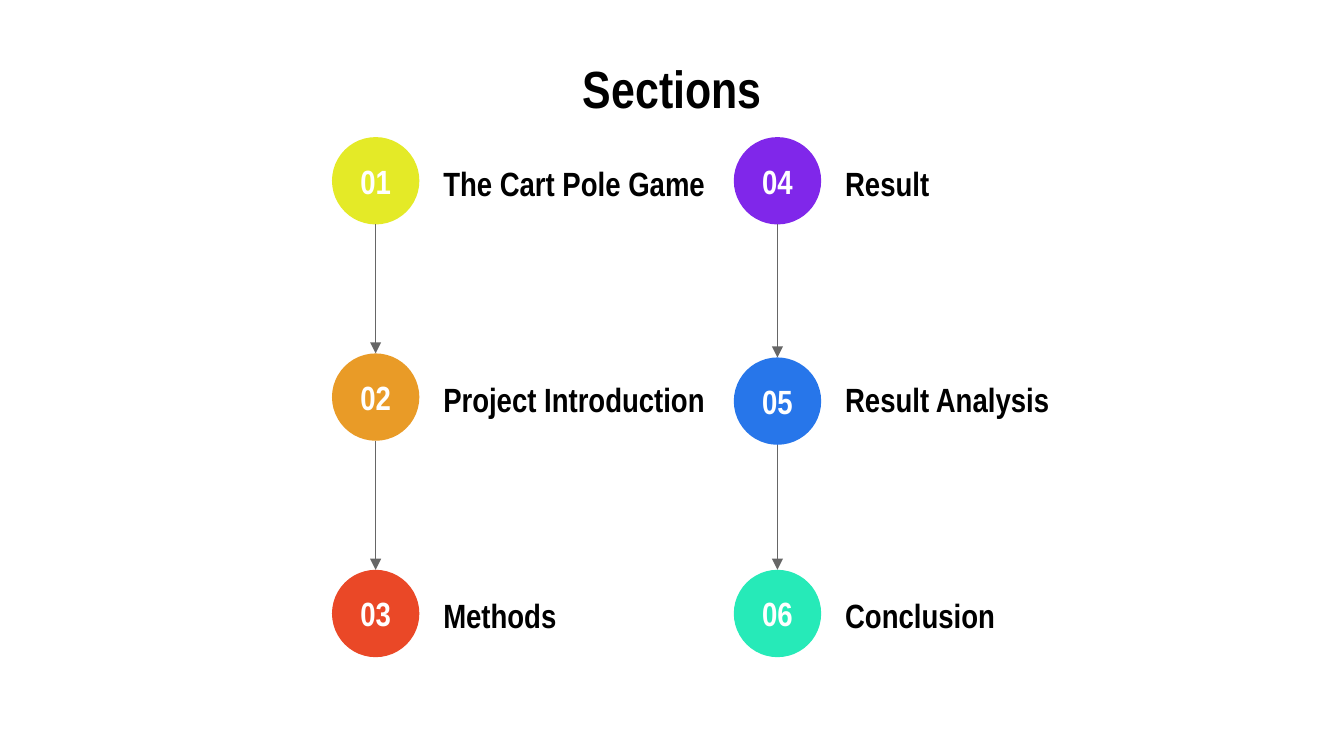
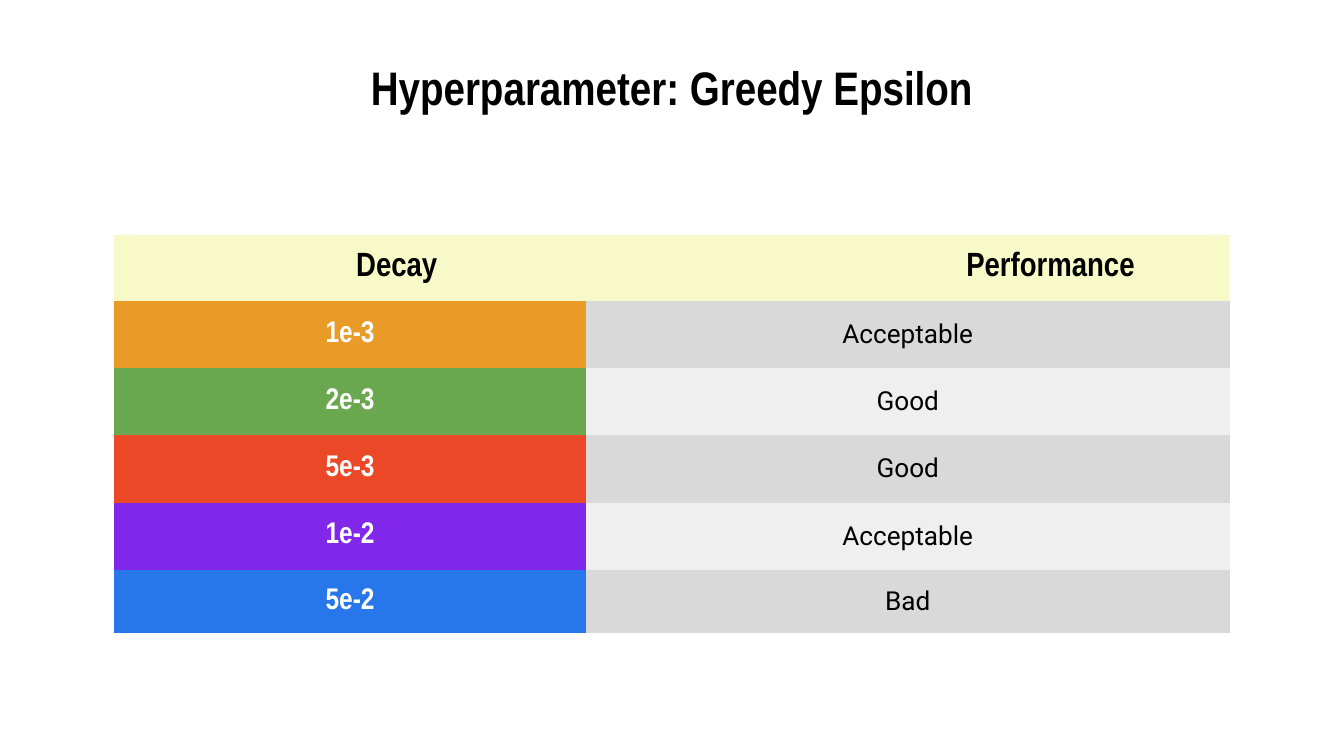
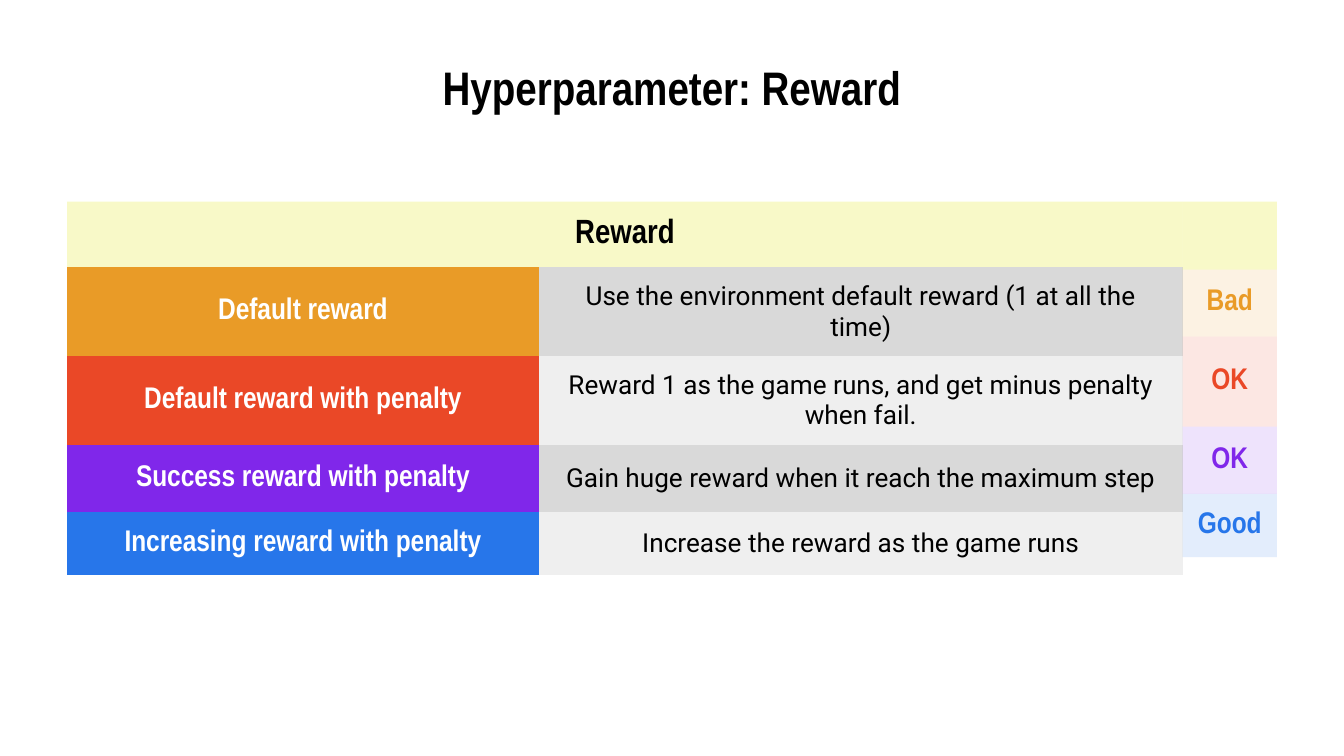
"""Build three slides on a cart pole project: sections, epsilon decay and reward."""
import pptx
import pptx.dml.color
import pptx.enum.shapes
import pptx.enum.text
import pptx.oxml
import pptx.oxml.ns
import pptx.util
from lxml import etree

RGBColor = pptx.dml.color.RGBColor
ALIGN = pptx.enum.text.PP_ALIGN
MIDDLE = pptx.enum.text.MSO_ANCHOR.MIDDLE

BLACK = RGBColor(0x00, 0x00, 0x00)
WHITE = RGBColor(0xFF, 0xFF, 0xFF)
YELLOW = RGBColor(0xE4, 0xEA, 0x27)
ORANGE = RGBColor(0xE9, 0x9B, 0x27)
RED = RGBColor(0xEA, 0x48, 0x27)
GREEN = RGBColor(0x6A, 0xA8, 0x4F)
PURPLE = RGBColor(0x80, 0x27, 0xEA)
BLUE = RGBColor(0x27, 0x76, 0xEA)
MINT = RGBColor(0x26, 0xEA, 0xB8)
ARROW_GRAY = RGBColor(0x66, 0x66, 0x66)
BANDS = (RGBColor(0xD9, 0xD9, 0xD9), RGBColor(0xEF, 0xEF, 0xEF))

HEADING = {"name": "Arial Narrow", "bold": True}
BODY = {"name": "Roboto", "bold": False, "size": pptx.util.Pt(14)}
INSETS = ("margin_left", "margin_top", "margin_right", "margin_bottom")
NO_TABLE_STYLE = "{2D5ABB26-0587-4C30-8999-92F81FD0307C}"
HEADER_ALPHA, RATING_ALPHA = 25, 13
TABLE_COLUMNS = (35.1, 47.9)


def apply(target, values):
    for name, value in values.items():
        setattr(target, name, value)


def heading(size):
    return {**HEADING, "size": pptx.util.Pt(size)}


def add_element(parent, tag, **attributes):
    return etree.SubElement(parent, pptx.oxml.ns.qn(tag), attributes)


class Deck:
    """Hold the style, the square grid (100 columns wide) and the current slide."""

    def __init__(self):
        self.deck = pptx.Presentation()
        self.deck.slide_width = pptx.util.Inches(10)
        self.deck.slide_height = pptx.util.Inches(5.625)
        self.module = self.deck.slide_width / 100
        self.inset = self.units(1)
        self.page = None

    def units(self, count):
        return pptx.util.Emu(round(count * self.module))

    def place(self, *counts):
        return [self.units(count) for count in counts]

    def add_page(self, title, size, top):
        self.page = self.deck.slides.add_slide(self.deck.slide_layouts[5])
        box = self.page.shapes.title
        apply(box, dict(zip(("left", "top", "width", "height"), self.place(5, top, 90, 4.1))))
        self.set_text(box.text_frame, title, heading(size))

    def set_text(self, frame, text, font, color=BLACK, align=ALIGN.CENTER):
        apply(frame, {
            **dict.fromkeys(INSETS, self.inset),
            "word_wrap": True,
            "vertical_anchor": MIDDLE,
            "auto_size": pptx.enum.text.MSO_AUTO_SIZE.NONE,
        })
        self.add_span(frame.paragraphs[0], text, font, color, align)

    def add_span(self, para, text, font, color, align):
        para.alignment = align
        span = para.add_run()
        span.text = text
        apply(span.font, font)
        span.font.color.rgb = color

    def add_section(self, number, label, color, left, top, nudge):
        """Add a numbered circle with its label and return the circle."""
        group = self.page.shapes.add_group_shape()
        circle = group.shapes.add_shape(
            pptx.enum.shapes.MSO_SHAPE.OVAL, *self.place(left, top + nudge, 6.5, 6.5))
        circle.shadow.inherit = False
        circle.fill.solid()
        circle.fill.fore_color.rgb = color
        circle.line.fill.background()
        self.set_text(circle.text_frame, f"{number:02}", heading(18), WHITE)
        box = group.shapes.add_textbox(*self.place(left + 7.3, top + 1.6, 21.7, 3.6))
        self.set_text(box.text_frame, label, heading(18), align=ALIGN.LEFT)
        return circle

    def add_arrow(self, upper, lower):
        center = upper.left + upper.width // 2
        arrow = self.page.shapes.add_connector(
            pptx.enum.shapes.MSO_CONNECTOR.STRAIGHT,
            center, upper.top + upper.height, center, lower.top)
        arrow.end_connect(lower, 0)
        arrow.line.color.rgb = ARROW_GRAY
        arrow.line.width = pptx.util.Pt(0.75)
        outline = arrow._element.spPr.find(pptx.oxml.ns.qn("a:ln"))
        add_element(outline, "a:tailEnd", type="triangle")
        add_element(arrow._element.spPr, "a:effectLst")

    def add_table(self, left, top, columns, rows):
        table = self.page.shapes.add_table(
            len(rows), len(columns), *self.place(left, top, sum(columns), sum(rows))).table
        apply(table, {"first_row": False, "horz_banding": False})
        table._tbl.tblPr.find(pptx.oxml.ns.qn("a:tableStyleId")).text = NO_TABLE_STYLE
        for column, width in zip(table.columns, columns):
            column.width = self.units(width)
        for row, height in zip(table.rows, rows):
            row.height = self.units(height)
        return table

    def fill_cell(self, cell, fill, text="", font=BODY, color=BLACK,
                  alpha=None, align=ALIGN.CENTER, tabs=()):
        apply(cell, {**dict.fromkeys(INSETS, self.inset), "vertical_anchor": MIDDLE})
        cell.fill.solid()
        cell.fill.fore_color.rgb = fill
        if alpha:
            shade = cell._tc.tcPr.find(".//" + pptx.oxml.ns.qn("a:srgbClr"))
            add_element(shade, "a:alpha", val=str(alpha * 1000))
        para = cell.text_frame.paragraphs[0]
        if tabs:
            stops = add_element(para._p.get_or_add_pPr(), "a:tabLst")
            for stop in tabs:
                add_element(stops, "a:tab", pos=str(self.units(stop)), algn="l")
        if text:
            self.add_span(para, text, font, color, align)

    def add_settings_table(self, left, top, header, settings, **header_format):
        """Add a table with a merged header and one coloured row per setting."""
        rows = [4.9] + [5] * (len(settings) - 1) + [4.7]
        table = self.add_table(left, top, TABLE_COLUMNS, rows)
        table.cell(0, 0).merge(table.cell(0, 1))
        self.fill_cell(table.cell(0, 0), YELLOW, header, heading(18),
                       alpha=HEADER_ALPHA, **header_format)
        for index, (name, detail, color) in enumerate(settings):
            self.fill_cell(table.cell(index + 1, 0), color, name, heading(16), WHITE)
            self.fill_cell(table.cell(index + 1, 1), BANDS[index % 2], detail)

    def add_ratings(self, left, top, rows, ratings):
        table = self.add_table(left, top, [7], rows)
        self.fill_cell(table.cell(0, 0), YELLOW, alpha=HEADER_ALPHA)
        for index, (rating, color) in enumerate(ratings, 1):
            self.fill_cell(table.cell(index, 0), color, rating, heading(16), color,
                           alpha=RATING_ALPHA)


def add_sections(deck):
    deck.add_page("Sections", 28, 4.5)
    sections = [
        ("The Cart Pole Game", YELLOW), ("Project Introduction", ORANGE), ("Methods", RED),
        ("Result", PURPLE), ("Result Analysis", BLUE), ("Conclusion", MINT),
    ]
    nudges = {5: 0.3}
    circles = []
    for index, (label, color) in enumerate(sections):
        column, row = divmod(index, 3)
        circles.append(deck.add_section(
            index + 1, label, color, 24.7 + 29.9 * column, 10.2 + 16.1 * row,
            nudges.get(index + 1, 0)))
    for chain in (circles[:3], circles[3:]):
        for upper, lower in zip(chain, chain[1:]):
            deck.add_arrow(upper, lower)


def add_epsilon(deck):
    deck.add_page("Hyperparameter: Greedy Epsilon", 25.2, 4.4)
    deck.add_settings_table(8.5, 17.5, "\tDecay\tPerformance", [
        ("1e-3", "Acceptable", ORANGE),
        ("2e-3", "Good", GREEN),
        ("5e-3", "Good", RED),
        ("1e-2", "Acceptable", PURPLE),
        ("5e-2", "Bad", BLUE),
    ], align=ALIGN.LEFT, tabs=(17, 62.4))


def add_reward(deck):
    deck.add_page("Hyperparameter: Reward", 25.2, 4.4)
    deck.add_settings_table(5, 15, "Reward", [
        ("Default reward", "Use the environment default reward (1 at all the time)", ORANGE),
        ("Default reward with penalty",
         "Reward 1 as the game runs, and get minus penalty when fail.", RED),
        ("Success reward with penalty",
         "Gain huge reward when it reach the maximum step", PURPLE),
        ("Increasing reward with penalty", "Increase the reward as the game runs", BLUE),
    ])
    deck.add_ratings(88, 15, [5, 5, 6.7, 5, 4.7], [
        ("Bad", ORANGE), ("OK", RED), ("OK", PURPLE), ("Good", BLUE)])


def main():
    deck = Deck()
    add_sections(deck)
    add_epsilon(deck)
    add_reward(deck)
    deck.deck.save("out.pptx")


if __name__ == "__main__":
    main()
